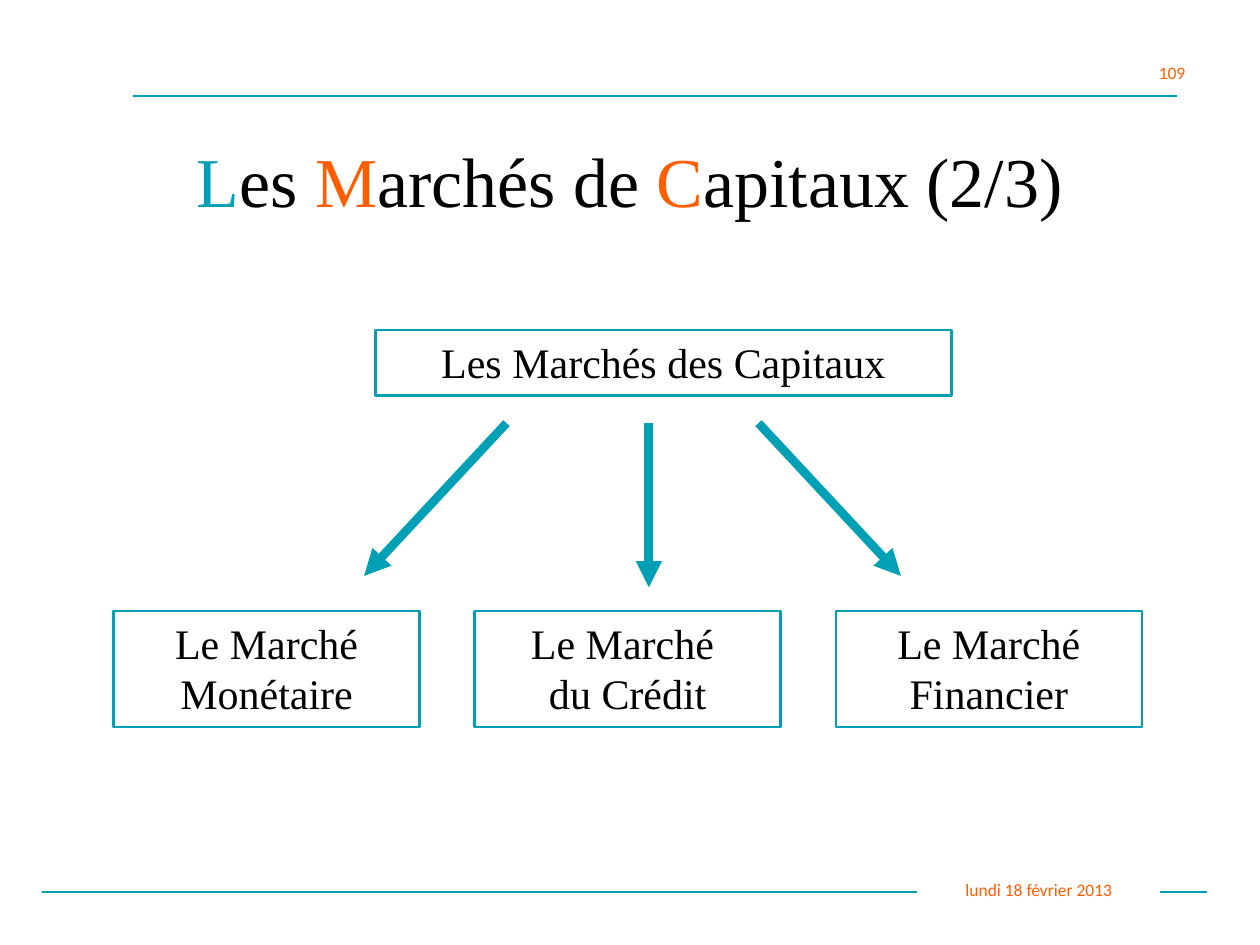
from typing import NamedTuple

from lxml import etree
from pptx import Presentation
from pptx import util as u
from pptx.dml.color import RGBColor
from pptx.enum import shapes, text
from pptx.oxml import ns

TEAL = RGBColor(0x01, 0xA0, 0xB5)
ORANGE = RGBColor(0xFF, 0x5E, 0x00)
BLACK = RGBColor(0x00, 0x00, 0x00)
WHITE = RGBColor(0xFF, 0xFF, 0xFF)
SERIF = "Times New Roman"
SANS = "Calibri"


class Area(NamedTuple):
    """Left, top, width and height in centimetres."""
    left: float
    top: float
    width: float
    height: float


class Line(NamedTuple):
    """End points in centimetres, width in points."""
    x1: float
    y1: float
    x2: float
    y2: float
    width: float = 1
    arrow: bool = False


class Label(NamedTuple):
    area: Area
    words: str
    anchor: text.MSO_ANCHOR
    align: text.PP_ALIGN
    wrap: bool


RULES = [Line(0.84, 17.98, 24.33, 17.98), Line(2.69, 1.93, 23.72, 1.93)]

LABELS = [
    Label(Area(18.49, 17.58, 4.9, 0.69), "lundi 18 février 2013",
          text.MSO_ANCHOR.MIDDLE, text.PP_ALIGN.CENTER, True),
    Label(Area(23.11, 1.12, 1.14, 0.69), "109",
          text.MSO_ANCHOR.TOP, text.PP_ALIGN.LEFT, False),
]

MARKETS = ["Le Marché Monétaire", "Le Marché \ndu Crédit", "Le Marché Financier"]
MARKET_LEFT, MARKET_STEP = 2.29, 7.28

ARROW_MIDDLE, ARROW_TOP = 13.08, 8.53
ARROWS = [
    Line(15.29, ARROW_TOP, 18.16, 11.61, 5, True),
    Line(10.21, ARROW_TOP, 7.34, 11.61, 5, True),
    Line(ARROW_MIDDLE, ARROW_TOP, ARROW_MIDDLE, 11.84, 5, True),
]

TITLE = [("L", TEAL), ("es ", BLACK), ("M", ORANGE), ("archés de ", BLACK),
         ("C", ORANGE), ("apitaux (2/3)", BLACK)]


def style_font(font, name: str, size: float, color: RGBColor) -> None:
    font.name = name
    font.size = u.Pt(size)
    font.color.rgb = color


def draw_line(page, line: Line) -> None:
    ends = [u.Cm(value) for value in line[:4]]
    connector = page.shapes.add_connector(shapes.MSO_CONNECTOR.STRAIGHT, *ends)
    connector.line.color.rgb = TEAL
    connector.line.width = u.Pt(line.width)
    if line.arrow:
        outline = connector.line._get_or_add_ln()
        etree.SubElement(outline, ns.qn("a:tailEnd"), type="triangle")
    etree.SubElement(connector._element.spPr, ns.qn("a:effectLst"))


def add_rectangle(page, area: Area, words: str, align: text.PP_ALIGN,
                  name: str, size: float, color: RGBColor):
    """Add a rectangle with styled text; fill and line are left to the caller."""
    box = page.shapes.add_shape(shapes.MSO_SHAPE.RECTANGLE,
                                *[u.Cm(value) for value in area])
    box.shadow.inherit = False
    frame = box.text_frame
    frame.word_wrap = True
    frame.vertical_anchor = text.MSO_ANCHOR.TOP
    frame.text = words
    for para in frame.paragraphs:
        para.alignment = align
        for span in para.runs:
            style_font(span.font, name, size, color)
    return box


def draw_label(page, label: Label) -> None:
    box = add_rectangle(page, label.area, label.words, label.align, SANS, 10, ORANGE)
    box.fill.solid()
    box.fill.fore_color.rgb = WHITE
    box.line.fill.background()
    box.text_frame.vertical_anchor = label.anchor
    box.text_frame.word_wrap = label.wrap


def draw_market(page, area: Area, words: str) -> None:
    box = add_rectangle(page, area, words, text.PP_ALIGN.CENTER, SERIF, 24, BLACK)
    box.fill.background()
    box.line.color.rgb = TEAL
    box.line.width = u.Pt(1.5)


def draw_title(page, area: Area) -> None:
    box = page.shapes.add_textbox(*[u.Cm(value) for value in area])
    frame = box.text_frame
    frame.word_wrap = True
    frame.vertical_anchor = text.MSO_ANCHOR.MIDDLE
    para = frame.paragraphs[0]
    para.alignment = text.PP_ALIGN.CENTER
    for words, color in TITLE:
        span = para.add_run()
        span.text = words
        style_font(span.font, SERIF, 40, color)


def main() -> None:
    deck = Presentation()
    deck.slide_width, deck.slide_height = u.Cm(25.4), u.Cm(19.05)
    page = deck.slides.add_slide(deck.slide_layouts[6])

    for rule, label in zip(RULES, LABELS):
        draw_line(page, rule)
        draw_label(page, label)
    # The page number's white box stays clear of the top rule.
    draw_market(page, Area(7.57, 6.65, 11.61, 1.32), "Les Marchés des Capitaux")
    for column, words in enumerate(MARKETS):
        left = MARKET_LEFT + column * MARKET_STEP
        draw_market(page, Area(left, 12.32, 6.17, 2.34), words)
    for arrow in ARROWS:
        draw_line(page, arrow)
    draw_title(page, Area(1.9, 2.34, 21.59, 2.54))

    deck.save("out.pptx")


if __name__ == "__main__":
    main()
